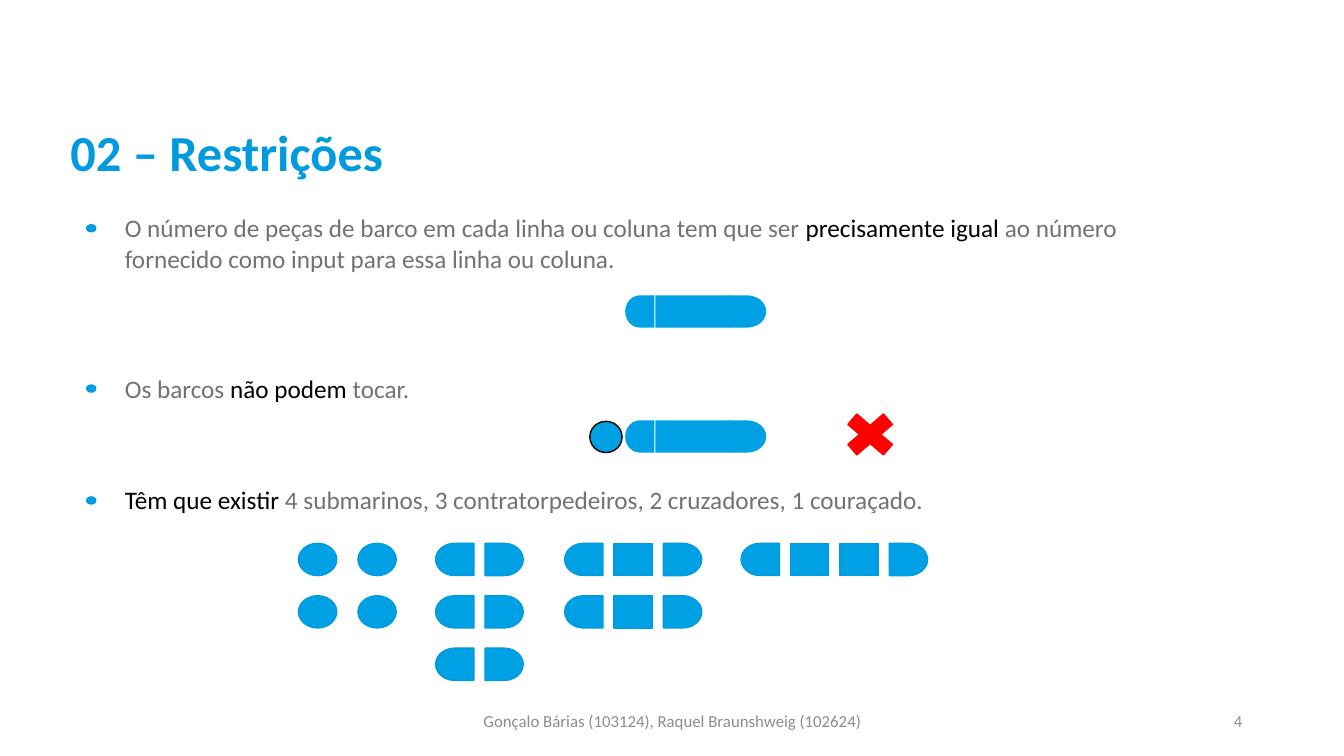
from dataclasses import dataclass

from pptx import Presentation
from pptx import util as u
from pptx.dml.color import RGBColor
from pptx.enum import shapes, text

SHAPE = shapes.MSO_SHAPE
ALIGN = text.PP_ALIGN
ANCHOR = text.MSO_ANCHOR


@dataclass(frozen=True)
class Theme:
    font: str = "Calibri"
    title_size: int = 36
    body_size: int = 18
    footer_size: int = 12
    accent: str = "009BDE"
    ship: str = "00A0E4"
    body: str = "767171"
    strong: str = "000000"
    footer: str = "8C8C8C"
    wrong: str = "FF0000"


class Deck:
    def __init__(self, theme):
        self.theme = theme
        self.prs = Presentation()
        self.prs.slide_width = u.Inches(13.33)
        self.prs.slide_height = u.Inches(7.5)
        self.s = self.prs.slides.add_slide(self.prs.slide_layouts[6])

    def text(self, x, y, w, h, runs, size, bold=False, align=ALIGN.LEFT,
             anchor=ANCHOR.TOP):
        """Add a one-paragraph text box; runs is a list of (text, colour)."""
        tf = self.s.shapes.add_textbox(*map(u.Inches, (x, y, w, h))).text_frame
        tf.word_wrap = True
        tf.vertical_anchor = anchor
        p = tf.paragraphs[0]
        p.alignment = align
        for words, colour in runs:
            r = p.add_run()
            r.text = words
            r.font.name = self.theme.font
            r.font.size = u.Pt(size)
            r.font.bold = bold
            r.font.color.rgb = RGBColor.from_string(colour)

    def shape(self, kind, x, y, w, h, fill=None, line=None, rotation=0):
        sp = self.s.shapes.add_shape(kind, *map(u.Inches, (x, y, w, h)))
        sp.shadow.inherit = False
        sp.rotation = rotation
        sp.fill.solid()
        sp.fill.fore_color.rgb = RGBColor.from_string(fill or self.theme.ship)
        if line:
            sp.line.color.rgb = RGBColor.from_string(line)
            sp.line.width = u.Pt(1)
        else:
            sp.line.fill.background()

    def bullet(self, y, h, runs):
        self.shape(SHAPE.OVAL, 0.86, y + 0.17, 0.09, 0.07, line=self.theme.accent)
        self.text(1.14, y, 10.6, h, runs, self.theme.body_size)

    def ship(self, x, y, length):
        """Draw a ship of separate pieces: rounded ends, square middles."""
        for i in range(length):
            kind, rotation = SHAPE.RECTANGLE, 0
            if length == 1:
                kind = SHAPE.OVAL
            elif i in (0, length - 1):
                kind = SHAPE.FLOWCHART_DELAY
                rotation = 180 if i == 0 else 0
            self.shape(kind, x + 0.49 * i, y, 0.38, 0.32,
                       line=self.theme.accent, rotation=rotation)

    def joined_ship(self, y):
        self.shape(SHAPE.FLOWCHART_DELAY, 7.22, y, 0.38, 0.32)
        self.shape(SHAPE.RECTANGLE, 6.5, y, 0.73, 0.32)
        self.shape(SHAPE.FLOWCHART_DELAY, 6.2, y, 0.29, 0.32, rotation=180)


def main():
    t = Theme()
    deck = Deck(t)

    deck.text(0.6, 1.15, 4.88, 0.71, [("02 – Restrições", t.accent)],
              t.title_size, bold=True)

    deck.bullet(2.06, 0.71, [
        ("O número de peças de barco em cada linha ou coluna tem que ser ", t.body),
        ("precisamente igual ", t.strong),
        ("ao número fornecido como input para essa linha ou coluna.", t.body)])
    deck.joined_ship(2.93)

    deck.bullet(3.65, 0.4, [("Os barcos ", t.body), ("não podem", t.strong),
                            (" tocar.", t.body)])
    deck.joined_ship(4.17)
    deck.shape(SHAPE.OVAL, 5.85, 4.18, 0.32, 0.31, line=t.strong)
    deck.shape(SHAPE.MATH_MULTIPLY, 8.29, 4.02, 0.68, 0.58, t.wrong, t.wrong)

    deck.bullet(4.76, 0.4, [
        ("Têm que existir ", t.strong),
        ("4 submarinos, 3 contratorpedeiros, 2 cruzadores, 1 couraçado.", t.body)])
    # Each column of ships: left edge, ship length, number of rows
    fleet = [(2.96, 1, 2), (3.55, 1, 2), (4.32, 2, 3), (5.6, 3, 2), (7.35, 4, 1)]
    for x, length, rows in fleet:
        for row in range(rows):
            deck.ship(x, 5.39 + 0.52 * row, length)

    deck.text(4.42, 6.95, 4.5, 0.4,
              [("Gonçalo Bárias (103124), Raquel Braunshweig (102624)", t.footer)],
              t.footer_size, align=ALIGN.CENTER, anchor=ANCHOR.MIDDLE)
    deck.text(9.42, 6.95, 3, 0.4, [("4", t.footer)], t.footer_size,
              align=ALIGN.RIGHT, anchor=ANCHOR.MIDDLE)

    deck.prs.save("out.pptx")


if __name__ == "__main__":
    main()
